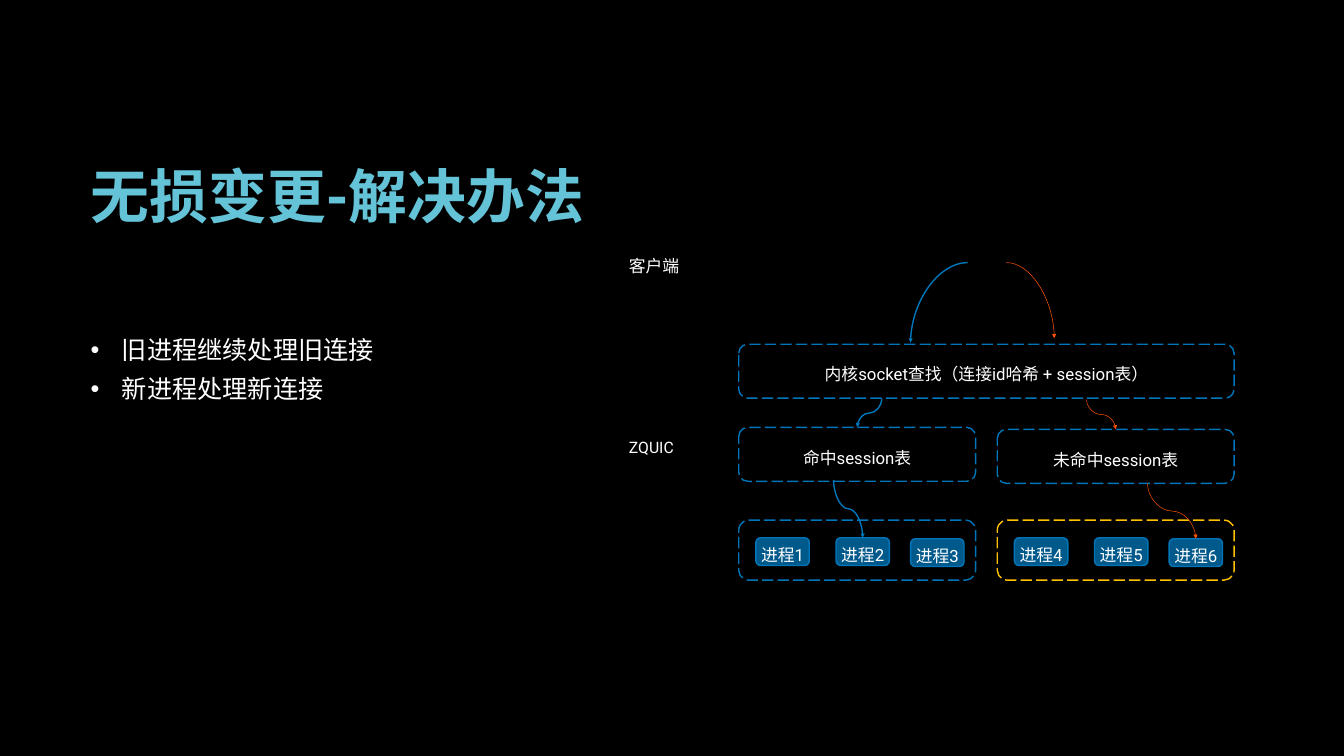
from pptx import Presentation
from pptx.dml.color import RGBColor
from pptx.enum.dml import MSO_LINE_DASH_STYLE as Dash
from pptx.enum.shapes import MSO_CONNECTOR as Link, MSO_SHAPE as Shape
from pptx.enum.text import MSO_ANCHOR as Anchor, MSO_AUTO_SIZE as AutoSize, PP_ALIGN as Align
from pptx.oxml.ns import qn
from pptx.util import Inches, Pt
from lxml.etree import SubElement

BLACK, WHITE, CYAN = "000000", "FFFFFF", "65C3D7"
BLUE, NAVY, ORANGE, YELLOW = "0076BA", "00598B", "FD5204", "FFC000"
LATIN, CJK = "Roboto", "Noto Sans CJK SC"


def color(value):
    return RGBColor.from_string(value)


def write(box, *lines, size=24, font=LATIN, ink=WHITE, bold=False,
          align=Align.LEFT, anchor=Anchor.MIDDLE, spacing=1.3, bullet=None):
    """Fill a shape with one paragraph per line of text."""
    frame = box.text_frame
    frame.word_wrap = True
    frame.auto_size = AutoSize.NONE
    frame.vertical_anchor = anchor
    frame.margin_left = frame.margin_right = Inches(0.03)
    frame.margin_top = frame.margin_bottom = Inches(0.03)
    for number, line in enumerate(lines):
        para = frame.add_paragraph() if number else frame.paragraphs[0]
        para.alignment = align
        para.line_spacing = spacing
        if bullet:
            props = para._p.get_or_add_pPr()
            props.set("marL", str(Inches(0.62)))
            props.set("indent", str(-Inches(0.62)))
            SubElement(props, qn("a:buFont")).set("typeface", "Arial")
            SubElement(props, qn("a:buChar")).set("char", bullet)
        span = para.add_run()
        span.text = line
        span.font.size = Pt(size)
        span.font.bold = bold
        span.font.name = font
        span.font.color.rgb = color(ink)
        SubElement(span._r.get_or_add_rPr(), qn("a:ea")).set("typeface", CJK)


class Diagram:
    """The current slide and the drawing style of its parts."""

    def __init__(self, page):
        self.page = page
        self.thick, self.thin = Pt(2), Pt(0.75)
        page.background.fill.solid()
        page.background.fill.fore_color.rgb = color(BLACK)

    def title(self, text, left, top, width, height):
        box = self.page.shapes.title
        box.left, box.top = Inches(left), Inches(top)
        box.width, box.height = Inches(width), Inches(height)
        write(box, text, size=84, ink=CYAN, bold=True, anchor=Anchor.TOP, spacing=1.0)

    def text(self, left, top, width, height, *lines, **style):
        box = self.page.shapes.add_textbox(*map(Inches, (left, top, width, height)))
        write(box, *lines, **style)

    def block(self, left, top, width, height, text=None, fill=None, edge=BLUE):
        """A rounded box: dashed when hollow, solid when filled."""
        box = self.page.shapes.add_shape(
            Shape.ROUNDED_RECTANGLE, *map(Inches, (left, top, width, height)))
        box.shadow.inherit = False
        box.line.color.rgb = color(edge)
        box.line.width = self.thick
        if fill:
            box.fill.solid()
            box.fill.fore_color.rgb = color(fill)
        else:
            box.fill.background()
            box.line.dash_style = Dash.LONG_DASH
        if text:
            write(box, text, align=Align.CENTER)

    def arrow(self, start, end, ink=BLUE, arc=False):
        """A quarter arc, or an S-curve that leaves and arrives vertically."""
        (x1, y1), (x2, y2) = start, end
        if not arc:
            # Lay the curve on its side, then turn it about its centre
            mid_x, mid_y = (x1 + x2) / 2, (y1 + y2) / 2
            half_run, half_rise = abs(x2 - x1) / 2, (y2 - y1) / 2
            side = 1 if x2 > x1 else -1
            x1, x2 = mid_x + side * half_rise, mid_x - side * half_rise
            y1, y2 = mid_y - half_run, mid_y + half_run
        curve = self.page.shapes.add_connector(
            Link.CURVE, *map(Inches, (x1, y1, x2, y2)))
        props = curve._element.spPr
        if arc:
            props.find(qn("a:prstGeom")).set("prst", "curvedConnector2")
        else:
            props.find(qn("a:xfrm")).set("rot", str((270 if side > 0 else 90) * 60000))
        curve.line.color.rgb = color(ink)
        curve.line.width = self.thick if ink == BLUE else self.thin
        SubElement(curve.line._get_or_add_ln(), qn("a:tailEnd")).set("type", "triangle")
        SubElement(props, qn("a:effectLst"))


def main():
    deck = Presentation()
    deck.slide_width, deck.slide_height = Inches(26.67), Inches(15)
    diagram = Diagram(deck.slides.add_slide(deck.slide_layouts[5]))

    # Title and key points
    diagram.title("无损变更-解决办法", 1.77, 3.14, 21.25, 2.07)
    diagram.text(1.77, 5.72, 10.08, 3.02, "旧进程继续处理旧连接", "新进程处理新连接",
                 size=36, font=CJK, bullet="•")

    # Row labels
    diagram.text(12.45, 4.86, 1.11, 0.7, "客户端")
    diagram.text(12.45, 8.51, 1.11, 0.7, "ZQUIC", size=22.5, spacing=1.1)

    # Kernel lookup
    old_x, new_x = 14.66, 19.79
    diagram.block(old_x, 6.83, 9.83, 1.07, "内核socket查找（连接id哈希 + session表）")

    # Old and new branches: lookup result, then a group of three processes
    branches = [(old_x, 8.48, "命中session表", BLUE, 1),
                (new_x, 8.52, "未命中session表", YELLOW, 4)]
    for left, top, result, edge, first in branches:
        diagram.block(left, top, 4.7, 1.07, result)
        diagram.block(left, 10.32, 4.7, 1.19, edge=edge)
        for number, (dx, y) in enumerate([(0.34, 10.67), (1.93, 10.67), (3.41, 10.69)], first):
            diagram.block(left + dx, y, 1.06, 0.55, f"进程{number}", fill=NAVY)

    # Path of an old connection
    diagram.arrow((19.2, 5.21), (18.07, 6.8), arc=True)
    diagram.arrow((17.5, 7.91), (17.01, 8.48))
    diagram.arrow((16.54, 9.52), (17.12, 10.67))

    # Path of a new connection
    diagram.arrow((19.97, 5.21), (20.92, 6.71), ORANGE, arc=True)
    diagram.arrow((21.56, 7.93), (22.14, 8.52), ORANGE)
    diagram.arrow((22.77, 9.59), (23.73, 10.69), ORANGE)

    deck.save("out.pptx")


if __name__ == "__main__":
    main()
